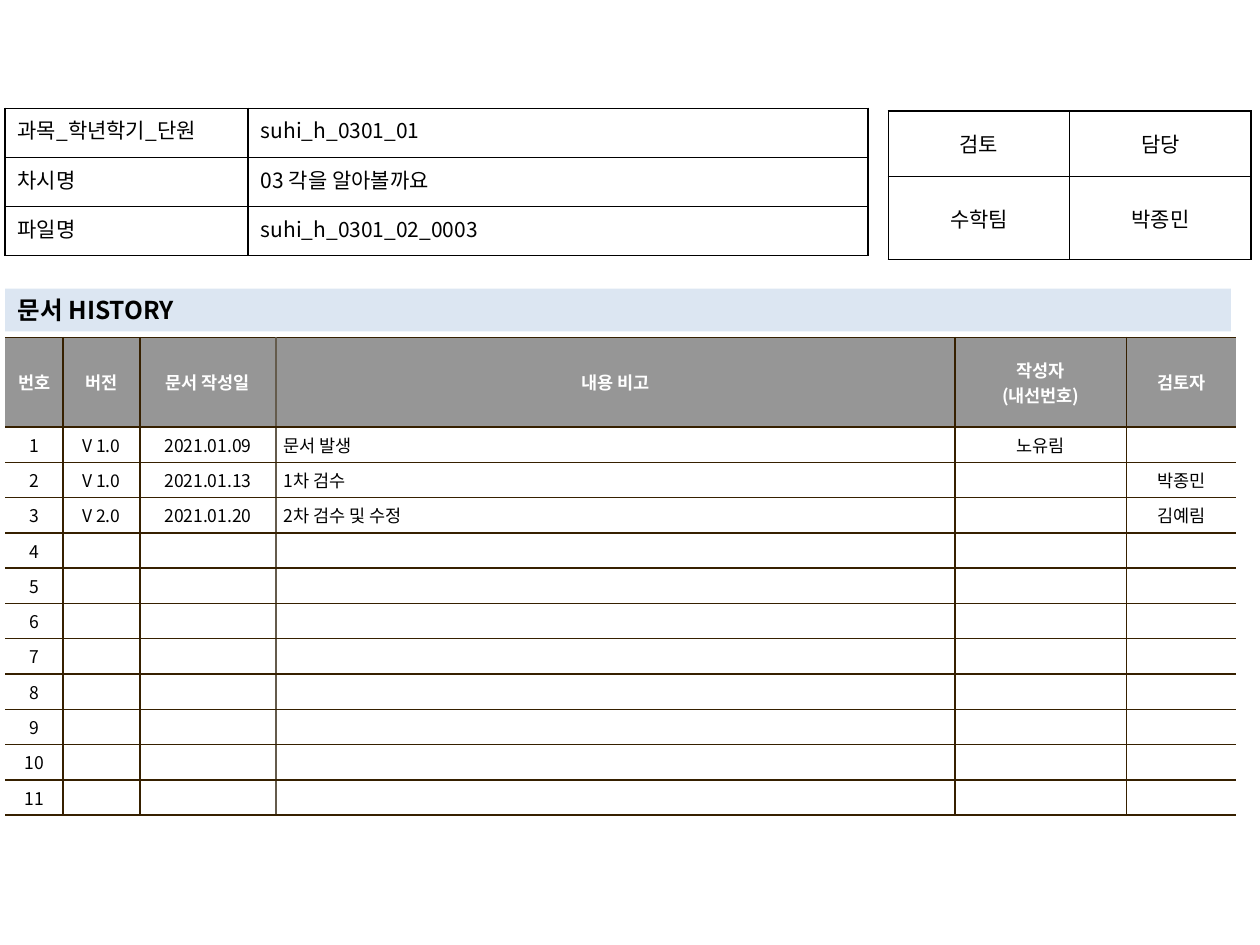
import pptx
import pptx.util
import pptx.dml.color
import pptx.enum.text
import pptx.oxml
import pptx.oxml.ns
from pptx.util import Inches

FONT = "Noto Sans CJK KR"
COLORS = {
    "text": "000000", "header_text": "FFFFFF", "header": "969696",
    "body": "FFFFFF", "banner": "DCE6F2", "frame": "000000",
    "rule": "362000", "soft_rule": "645B4C",
}
ALIGN = pptx.enum.text.PP_ALIGN
MIDDLE = pptx.enum.text.MSO_ANCHOR.MIDDLE
TOP = pptx.enum.text.MSO_ANCHOR.TOP

# Content
TITLE = "문서 HISTORY"
DOCUMENT_ROWS = [
    ("과목_학년학기_단원", "suhi_h_0301_01"),
    ("차시명", "03 각을 알아볼까요"),
    ("파일명", "suhi_h_0301_02_0003"),
]
APPROVAL_ROWS = [("검토", "담당"), ("수학팀", "박종민")]
HISTORY_HEADER = ("번호", "버전", "문서 작성일", "내용 비고", "작성자\n(내선번호)", "검토자")
HISTORY_ENTRIES = [
    ("V 1.0", "2021.01.09", "문서 발생", "노유림", ""),
    ("V 1.0", "2021.01.13", "1차 검수", "", "박종민"),
    ("V 2.0", "2021.01.20", "2차 검수 및 수정", "", "김예림"),
]
HISTORY_LENGTH = 11
NOTE_COLUMN = 3

# Geometry in inches
LEFT = 0.04
DOCUMENT_COLUMNS, DOCUMENT_HEIGHTS = (1.93, 4.92), [0.39] * 3
APPROVAL_COLUMNS, APPROVAL_HEIGHTS = (1.44, 1.44), [0.52, 0.66]
HISTORY_COLUMNS = (0.46, 0.61, 1.08, 5.39, 1.36, 0.87)
HISTORY_HEIGHTS = [0.71] + [0.25] * HISTORY_LENGTH


def rgb(name):
    return pptx.dml.color.RGBColor.from_string(COLORS[name])


def format_text(text_frame, size, color, alignment, bold=False):
    for paragraph in text_frame.paragraphs:
        paragraph.alignment = alignment
        for run in paragraph.runs:
            run.font.size = pptx.util.Pt(size)
            run.font.bold = bold
            run.font.color.rgb = rgb(color)
            run.font.name = FONT
            east_asian = pptx.oxml.parse_xml(
                f'<a:ea {pptx.oxml.ns.nsdecls("a")} typeface="{FONT}"/>')
            run.font._element.append(east_asian)
        if not paragraph.runs:  # keeps empty cells as low as filled ones
            paragraph._p.append(pptx.oxml.parse_xml(
                f'<a:endParaRPr {pptx.oxml.ns.nsdecls("a")} sz="{size * 100}"/>'))


def set_borders(cell, borders):
    """borders maps L, R, T, B to a colour name, or None for no line."""
    properties = cell._tc.get_or_add_tcPr()
    for index, side in enumerate("LRTB"):
        color = borders[side]
        paint = (f'<a:solidFill><a:srgbClr val="{COLORS[color]}"/></a:solidFill>'
                 if color else "<a:noFill/>")
        properties.insert(index, pptx.oxml.parse_xml(
            f'<a:ln{side} {pptx.oxml.ns.nsdecls("a")} w="12700">{paint}</a:ln{side}>'))


def add_grid(slide, left, top, columns, heights, rows, margins, anchor):
    frame = slide.shapes.add_table(
        len(rows), len(columns), Inches(left), Inches(top),
        Inches(sum(columns)), Inches(sum(heights)))
    table = frame.table
    table.first_row = table.horz_banding = False
    for column, width in zip(table.columns, columns):
        column.width = Inches(width)
    for row, height, texts in zip(table.rows, heights, rows):
        row.height = Inches(height)
        for cell, text in zip(row.cells, texts):
            cell.text_frame.text = text
            cell.vertical_anchor = anchor
            cell.margin_left = cell.margin_right = Inches(margins[0])
            cell.margin_top = cell.margin_bottom = Inches(margins[1])
    return table


def add_framed_grid(slide, left, top, columns, heights, rows, anchor, alignments):
    table = add_grid(slide, left, top, columns, heights, rows, (0.1, 0.05), anchor)
    for row in table.rows:
        for cell, alignment in zip(row.cells, alignments):
            format_text(cell.text_frame, 12, "text", alignment)
            cell.fill.background()
            set_borders(cell, dict.fromkeys("LRTB", "frame"))


def add_history(slide):
    blank = ("",) * (len(HISTORY_COLUMNS) - 1)
    entries = HISTORY_ENTRIES + [blank] * (HISTORY_LENGTH - len(HISTORY_ENTRIES))
    rows = [HISTORY_HEADER] + [(str(number), *entry)
                               for number, entry in enumerate(entries, 1)]
    table = add_grid(slide, LEFT, 2.68, HISTORY_COLUMNS, HISTORY_HEIGHTS,
                     rows, (0.06, 0.04), MIDDLE)

    # Vertical rules: open at both outer sides, softer before the notes
    verticals = [None] + ["rule"] * (len(HISTORY_COLUMNS) - 1) + [None]
    verticals[NOTE_COLUMN] = "soft_rule"
    for row_index, row in enumerate(table.rows):
        header = row_index == 0
        for column_index, cell in enumerate(row.cells):
            note = column_index == NOTE_COLUMN and not header
            format_text(cell.text_frame, 10, "header_text" if header else "text",
                        ALIGN.LEFT if note else ALIGN.CENTER, bold=header)
            cell.fill.solid()
            cell.fill.fore_color.rgb = rgb("header" if header else "body")
            set_borders(cell, {"L": verticals[column_index],
                               "R": verticals[column_index + 1],
                               "T": "rule", "B": "rule"})


def add_title(slide):
    title = slide.shapes.title
    title.left, title.top = Inches(LEFT), Inches(2.29)
    title.width, title.height = Inches(9.73), Inches(0.34)
    title.fill.solid()
    title.fill.fore_color.rgb = rgb("banner")
    text_frame = title.text_frame
    text_frame.text = TITLE
    text_frame.word_wrap = True
    text_frame.auto_size = pptx.enum.text.MSO_AUTO_SIZE.NONE
    text_frame.vertical_anchor = MIDDLE
    text_frame.margin_left = text_frame.margin_right = Inches(0.1)
    text_frame.margin_top = text_frame.margin_bottom = 0
    format_text(text_frame, 14, "text", ALIGN.LEFT, bold=True)


def main():
    presentation = pptx.Presentation()
    presentation.slide_width, presentation.slide_height = Inches(10), Inches(7.5)
    slide = presentation.slides.add_slide(presentation.slide_layouts[5])

    add_title(slide)
    add_history(slide)
    # Approval box at the right, document details at the left
    add_framed_grid(slide, 7.05, 0.88, APPROVAL_COLUMNS, APPROVAL_HEIGHTS,
                    APPROVAL_ROWS, MIDDLE, (ALIGN.CENTER, ALIGN.CENTER))
    add_framed_grid(slide, LEFT, 0.86, DOCUMENT_COLUMNS, DOCUMENT_HEIGHTS,
                    DOCUMENT_ROWS, TOP, (ALIGN.JUSTIFY, ALIGN.LEFT))
    presentation.save("out.pptx")


if __name__ == "__main__":
    main()
